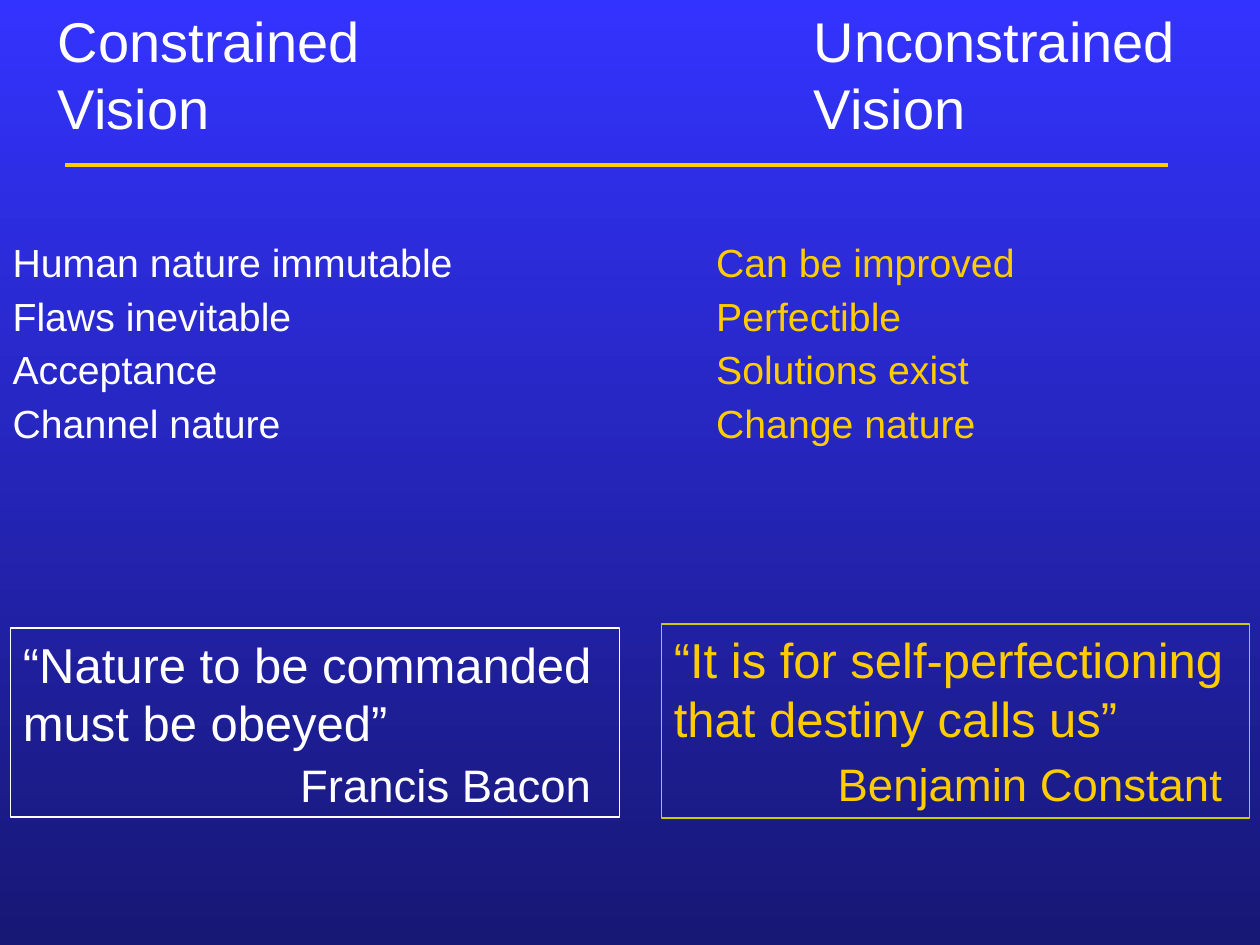
"""Build a slide that contrasts the constrained and unconstrained visions."""
from lxml.etree import SubElement
from pptx import Presentation
from pptx.dml.color import RGBColor
from pptx.enum.shapes import MSO_CONNECTOR, MSO_SHAPE
from pptx.enum.text import MSO_ANCHOR, MSO_AUTO_SIZE, PP_ALIGN
from pptx.oxml.ns import qn
from pptx.util import Inches, Pt

WHITE, GOLD = "FFFFFF", "FFCC00"
COLUMNS, ROWS = 120, 90


def color(value):
    """Turn a hex string into a colour."""
    return RGBColor.from_string(value)


def write(para, text, size, ink, tab=None):
    """Add one run, with an optional left tab stop in inches."""
    para.alignment = PP_ALIGN.LEFT
    if tab:
        stops = SubElement(para._p.get_or_add_pPr(), qn("a:tabLst"))
        SubElement(stops, qn("a:tab"), pos=str(Inches(tab)), algn="l")
    span = para.add_run()
    span.text = text
    span.font.name = "Arial"
    span.font.size = Pt(size)
    span.font.color.rgb = color(ink)


deck = Presentation()
deck.slide_width, deck.slide_height = Inches(10), Inches(7.5)
column, row = deck.slide_width // COLUMNS, deck.slide_height // ROWS
page = deck.slides.add_slide(deck.slide_layouts[3])

backdrop = page.background.fill
backdrop.gradient()
backdrop.gradient_angle = 270
for stop, position, shade in zip(backdrop.gradient_stops, (0, 1), ("3333FF", "171775")):
    stop.position = position
    stop.color.rgb = color(shade)

title = page.shapes.title
title.left, title.top, title.width, title.height = 0, 3 * row, 120 * column, 8 * row
heading = title.text_frame
heading.auto_size = MSO_AUTO_SIZE.NONE
heading.vertical_anchor = MSO_ANCHOR.MIDDLE
heading.margin_left = Inches(0.46)
para = heading.paragraphs[0]
write(para, "Constrained\tUnconstrained", 32, WHITE, tab=6)
para.add_line_break()
write(para, "Vision\tVision", 32, WHITE)

rule = page.shapes.add_connector(
    MSO_CONNECTOR.STRAIGHT, Inches(0.52), Inches(1.31), Inches(9.27), Inches(1.31))
rule.line.color.rgb = color(GOLD)
rule.line.width = Pt(2)
SubElement(rule._element.spPr, qn("a:effectLst"))

beliefs = [
    (1, 0, 65, WHITE,
     ["Human nature immutable", "Flaws inevitable", "Acceptance", "Channel nature"]),
    (2, 67, 53, GOLD,
     ["Can be improved", "Perfectible", "Solutions exist", "Change nature"]),
]
for index, left, width, ink, lines in beliefs:
    body = page.placeholders[index]
    body.left, body.top = left * column, 23 * row
    body.width, body.height = width * column, 24 * row
    frame = body.text_frame
    frame.auto_size = MSO_AUTO_SIZE.NONE
    for number, line in enumerate(lines):
        para = frame.add_paragraph() if number else frame.paragraphs[0]
        para.line_spacing = 0.8
        para.space_before = Pt(9)
        settings = para._p.get_or_add_pPr()
        settings.set("marL", "0")
        settings.set("indent", "0")
        SubElement(settings, qn("a:buNone"))
        write(para, line, 22.4, ink)

quotes = [
    (1, 59.8, 58, 18, WHITE, WHITE, 2.2, 3,
     "“Nature to be commanded must be obeyed”", "Francis Bacon"),
    (63, 59.4, 56, 18.5, GOLD, "CCCC00", 1.3, 5,
     "“It is for self-perfectioning that destiny calls us”", "Benjamin Constant"),
]
for left, top, width, height, ink, border, tab, gap, quote, author in quotes:
    box = page.shapes.add_shape(
        MSO_SHAPE.RECTANGLE, left * column, int(top * row), width * column, int(height * row))
    box.shadow.inherit = False
    box.fill.background()
    box.line.color.rgb = color(border)
    box.line.width = Pt(1)
    frame = box.text_frame
    frame.word_wrap = True
    frame.vertical_anchor = MSO_ANCHOR.TOP
    write(frame.paragraphs[0], quote, 28, ink)
    para = frame.add_paragraph()
    para.space_before = Pt(gap)
    write(para, "\t" + author, 26, ink, tab)

deck.save("out.pptx")
